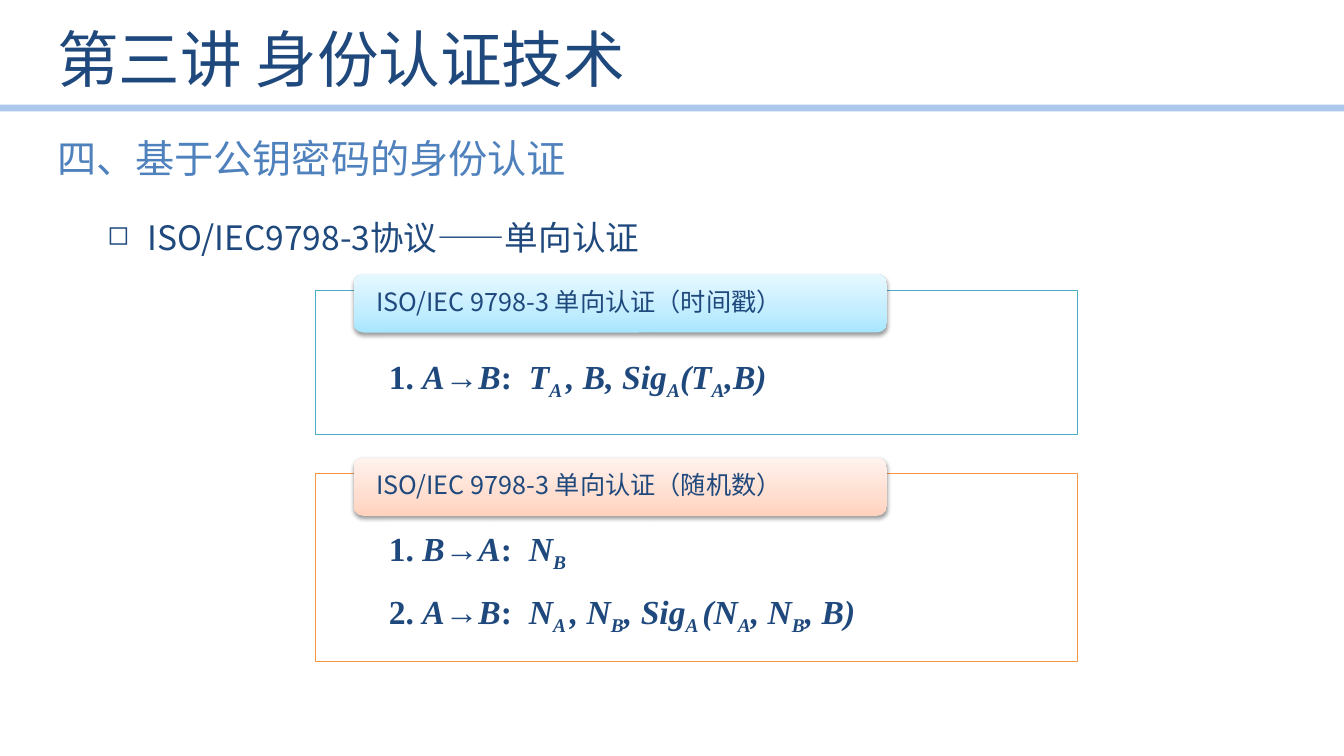
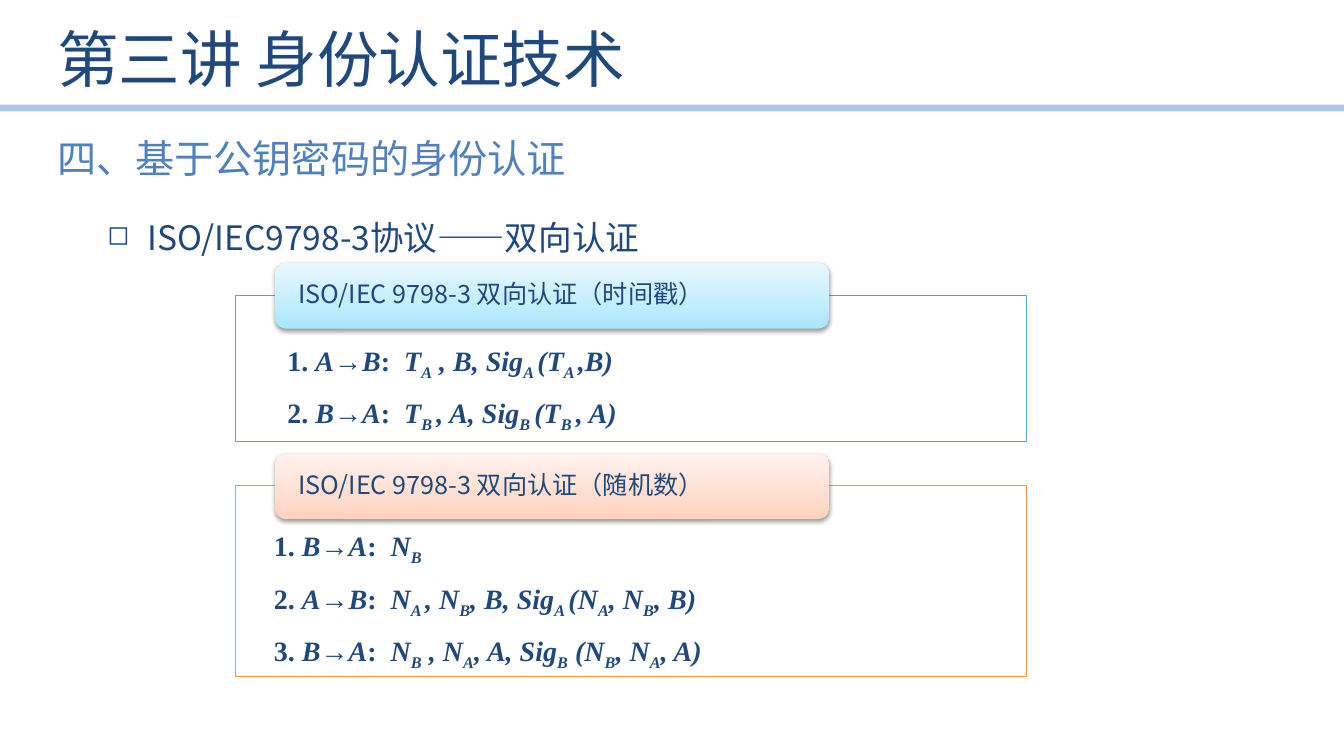
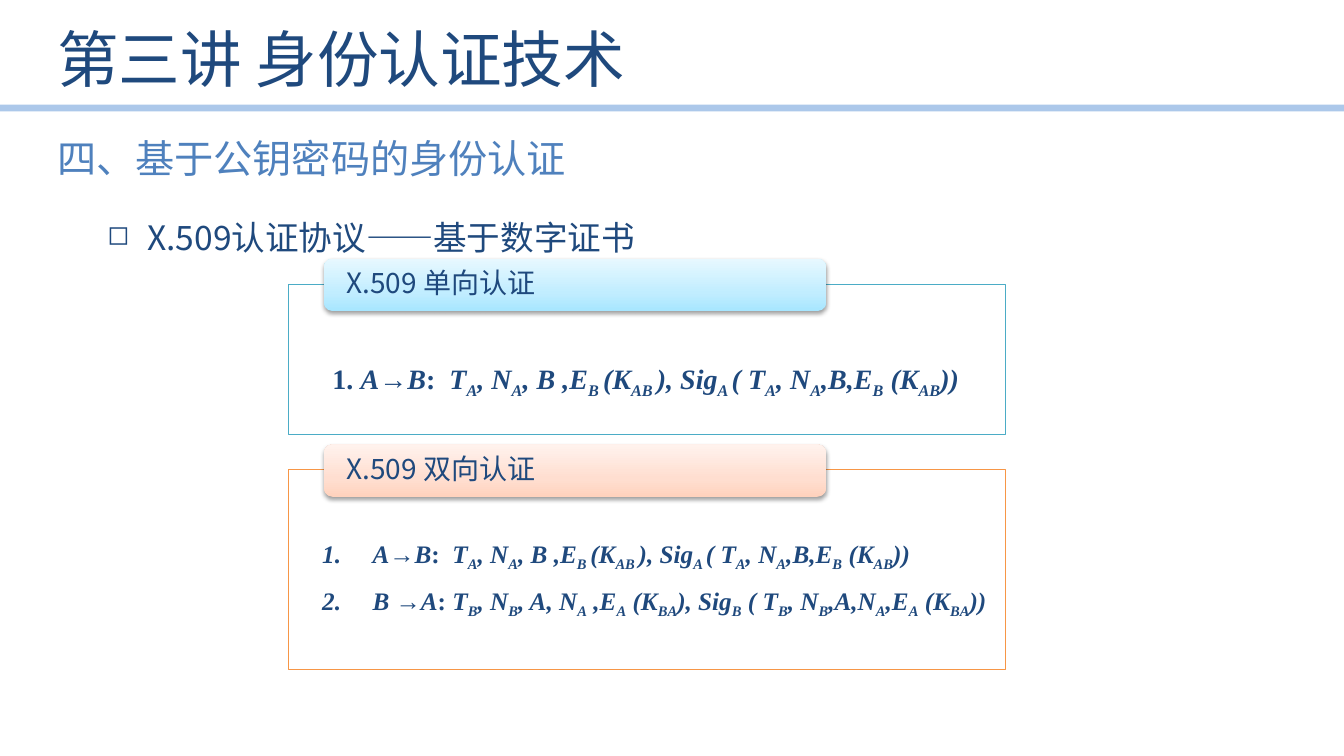
from lxml.etree import SubElement
from pptx import Presentation
from pptx.dml.color import RGBColor
from pptx.enum.shapes import MSO_CONNECTOR as Connector, MSO_SHAPE as Shape
from pptx.enum.text import MSO_ANCHOR as Anchor, PP_ALIGN as Align
from pptx.oxml.ns import qn
from pptx.util import Cm, Pt

COLORS = {"navy": "1F497D", "blue": "4F81BD", "rule": "8EB4E3", "white": "FFFFFF",
          "teal": "4BACC6", "orange": "F79646", "black": "000000"}
GRADIENTS = {"teal": [(0, "A7E6FF"), (35, "C1EDFF"), (100, "E7F8FF")],
             "orange": [(0, "FFD2BD"), (35, "FFDED0"), (100, "FFF2ED")]}
SANS = "Noto Sans CJK SC"
SERIF = "Times New Roman"

PAGES = [
    {"topic": "ISO/IEC9798-3协议——单向认证",
     "left": 7.95, "width": 19.2, "plate_height": 1.47, "rise": 0.41, "label_size": 18,
     "panels": [
         {"color": "teal", "label": "ISO/IEC 9798-3 单向认证（时间戳）",
          "top": 7.32, "height": 3.63, "area": (9.55, 8.84, 12.32, 1.3), "size": 24,
          "messages": [("1. ", "A", "B", ":  ", "T{A }, B, Sig{A}(T{A},B)")]},
         {"color": "orange", "label": "ISO/IEC 9798-3 单向认证（随机数）",
          "top": 11.94, "height": 4.72, "area": (9.55, 13.18, 12.62, 2.82), "size": 24,
          "messages": [("1. ", "B", "A", ":  ", "N{B}"),
                       ("2. ", "A", "B", ":  ", "N{A }, N{B}, Sig{A }(N{A}, N{B}, B)")]}]},
    {"topic": "ISO/IEC9798-3协议——双向认证",
     "left": 5.94, "width": 19.94, "plate_height": 1.65, "rise": 0.81, "label_size": 18,
     "panels": [
         {"color": "teal", "label": "ISO/IEC 9798-3 双向认证（时间戳）",
          "top": 7.44, "height": 3.68, "area": (6.99, 8.53, 14.48, 2.39), "size": 20,
          "messages": [("1. ", "A", "B", ":  ", "T{A} , B, Sig{A }(T{A },B)"),
                       ("2. ", "B", "A", ":  ", "T{B }, A, Sig{B }(T{B }, A)")]},
         {"color": "orange", "label": "ISO/IEC 9798-3 双向认证（随机数）",
          "top": 12.24, "height": 4.8, "area": (6.65, 13.2, 14.81, 3.68), "size": 20,
          "messages": [("1. ", "B", "A", ":  ", "N{B}"),
                       ("2. ", "A", "B", ":  ", "N{A }, N{B}, B, Sig{A }(N{A}, N{B}, B)"),
                       ("3. ", "B", "A", ":  ", "N{B} , N{A}, A, Sig{B} (N{B}, N{A}, A)")]}]},
    {"topic": "X.509认证协议——基于数字证书",
     "left": 7.26, "width": 18.08, "plate_height": 1.32, "rise": 0.64, "label_size": 20,
     "panels": [
         {"color": "teal", "label": "X.509 单向认证",
          "top": 7.16, "height": 3.78, "area": (8.13, 8.99, 16.61, 1.12), "size": 20,
          "messages": [("1. ", "A", "B", ":  ",
                        "T{A}, N{A}, B ,E{B }(K{AB }), Sig{A }( T{A}, N{A},B,E{B} (K{AB}))")]},
         {"color": "orange", "label": "X.509 双向认证",
          "top": 11.84, "height": 5.03, "area": (7.87, 13.44, 17.7, 2.18), "size": 18,
          "messages": [("", "A", "B", ":  ",
                        "T{A}, N{A}, B ,E{B }(K{AB }), Sig{A }( T{A}, N{A},B,E{B} (K{AB}))"),
                       ("", "B ", "A", ": ",
                        "T{B}, N{B}, A, N{A} ,E{A} (K{BA}), Sig{B} ( T{B}, N{B},A,N{A},E{A} (K{BA}))")]}]},
]


def add_box(page, area, anchor=Anchor.TOP):
    frame = page.shapes.add_textbox(*[Cm(length) for length in area]).text_frame
    frame.word_wrap = True
    frame.vertical_anchor = anchor
    return frame


def add_span(para, text, size, color="navy", font=SANS, bold=False, italic=False, lowered=False):
    span = para.add_run()
    span.text = text
    span.font.size = Pt(size)
    span.font.bold = bold
    span.font.italic = italic
    span.font.color.rgb = RGBColor.from_string(COLORS[color])
    span.font.name = font
    props = span._r.get_or_add_rPr()
    SubElement(props, qn("a:ea"), typeface=font)
    if lowered:
        props.set("baseline", "-25000")


deck = Presentation()
deck.slide_width = Cm(33.87)
deck.slide_height = Cm(19.05)

for content in PAGES:
    page = deck.slides.add_slide(deck.slide_layouts[6])

    rule = page.shapes.add_connector(Connector.STRAIGHT, 0, Cm(2.72), deck.slide_width, Cm(2.72))
    rule.line.width = Pt(4.75)
    rule.line.color.rgb = RGBColor.from_string(COLORS["rule"])
    rule_props = rule._element.spPr
    SubElement(rule_props.find(".//" + qn("a:srgbClr")), qn("a:alpha"), val="73000")
    SubElement(rule_props, qn("a:effectLst"))

    title = add_box(page, (1.19, 0.23, 28.02, 2.46), Anchor.MIDDLE)
    add_span(title.paragraphs[0], "第三讲 身份认证技术", 44)

    section = add_box(page, (1.19, 3.25, 13.49, 1.45))
    section.word_wrap = False
    add_span(section.paragraphs[0], "四、基于公钥密码的身份认证", 28, "blue")

    para = add_box(page, (1.19, 5.13, 31.19, 11.2)).paragraphs[0]
    para.alignment = Align.JUSTIFY
    para.line_spacing = 1.2
    props = para._p.get_or_add_pPr()
    props.set("marL", str(Cm(2.27)))
    props.set("indent", str(-Cm(1)))
    SubElement(props, qn("a:buSzPct"), val="80000")
    SubElement(props, qn("a:buChar"), char="◻")
    add_span(para, content["topic"], 24)

    left, width = content["left"], content["width"]
    for panel in content["panels"]:
        frame = page.shapes.add_shape(Shape.RECTANGLE, Cm(left), Cm(panel["top"]),
                                      Cm(width), Cm(panel["height"]))
        frame.shadow.inherit = False
        frame.fill.solid()
        frame.fill.fore_color.rgb = RGBColor.from_string(COLORS["white"])
        SubElement(frame._element.spPr.find(".//" + qn("a:srgbClr")), qn("a:alpha"), val="90000")
        frame.line.color.rgb = RGBColor.from_string(COLORS[panel["color"]])
        frame.line.width = Pt(0.75)

        plate = page.shapes.add_shape(Shape.ROUNDED_RECTANGLE, Cm(left + width * 0.05),
                                      Cm(panel["top"] - content["rise"]),
                                      Cm(width * 0.7), Cm(content["plate_height"]))
        plate.fill.gradient()
        plate.fill.gradient_angle = 90
        plate.line.fill.background()
        plate.shadow.inherit = False
        plate_props = plate._element.spPr
        stops = plate_props.find(".//" + qn("a:gsLst"))
        for stop in list(stops):
            stops.remove(stop)
        for position, color in GRADIENTS[panel["color"]]:
            stop = SubElement(stops, qn("a:gs"), pos=str(position * 1000))
            SubElement(stop, qn("a:srgbClr"), val=color)
        shadow = SubElement(plate_props.find(qn("a:effectLst")), qn("a:outerShdw"),
                            blurRad=str(Pt(3.1)), dist=str(Pt(1.6)), dir="5400000", rotWithShape="0")
        shade = SubElement(shadow, qn("a:srgbClr"), val=COLORS["black"])
        SubElement(shade, qn("a:alpha"), val="38000")

        label = plate.text_frame
        label.word_wrap = True
        label.vertical_anchor = Anchor.MIDDLE
        label.margin_left = label.margin_right = Cm(0.5)
        label.margin_top = label.margin_bottom = 0
        label.paragraphs[0].alignment = Align.LEFT
        label.paragraphs[0].line_spacing = 0.9
        add_span(label.paragraphs[0], panel["label"], content["label_size"])

        steps = add_box(page, panel["area"])
        size = panel["size"]
        for index, (number, sender, receiver, colon, message) in enumerate(panel["messages"]):
            para = steps.add_paragraph() if index else steps.paragraphs[0]
            para.space_before = Pt(size * 0.5)
            props = para._p.get_or_add_pPr()
            props.set("marL", str(Cm(1.27)))
            props.set("indent", str(-Cm(1.27)))
            if number:
                add_span(para, number, size, font=SERIF, bold=True)
            else:
                SubElement(props, qn("a:buFont"), typeface=SERIF)
                SubElement(props, qn("a:buAutoNum"), type="arabicPeriod")
            for text, italic in ((sender, True), ("→", False), (receiver, True), (colon, False)):
                add_span(para, text, size, font=SERIF, bold=True, italic=italic)
            for place, text in enumerate(message.replace("}", "{").split("{")):
                if text:
                    add_span(para, text, size, font=SERIF, bold=True, italic=True,
                             lowered=place % 2 == 1)

deck.save("out.pptx")
